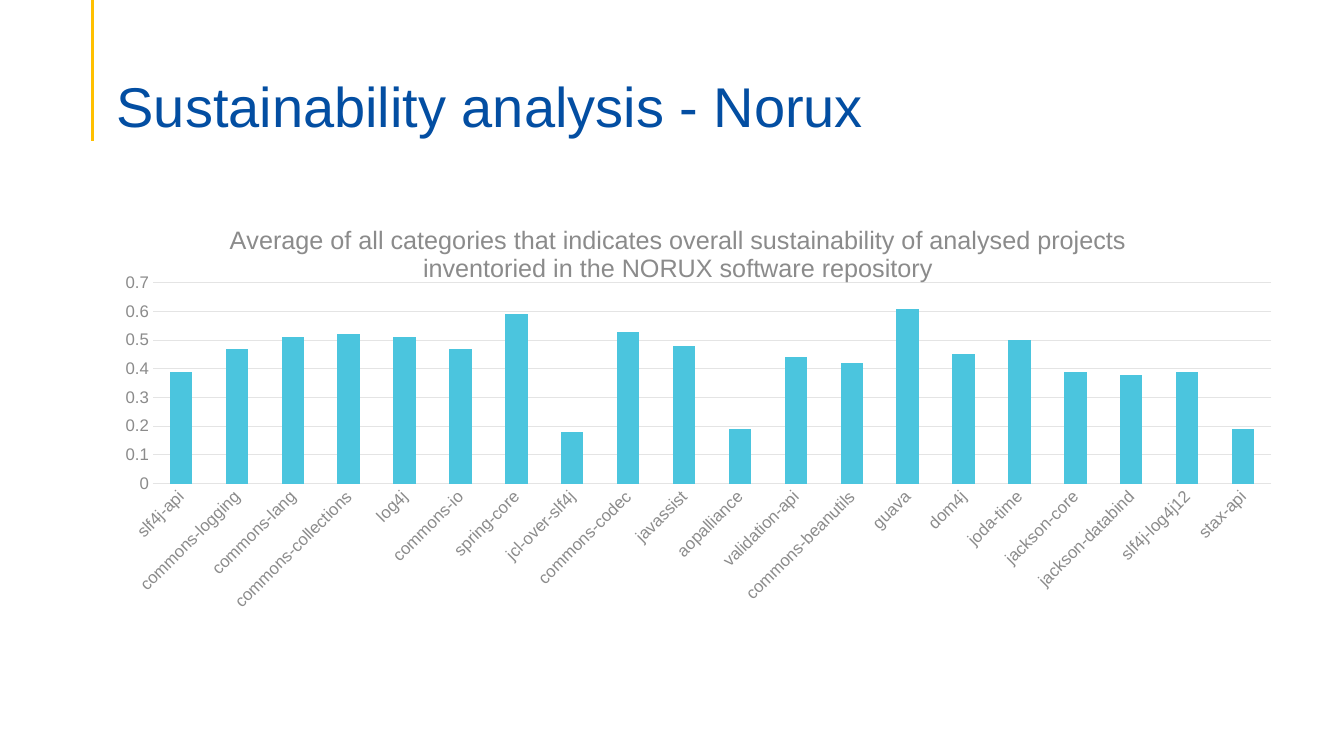
from dataclasses import dataclass
from typing import Any

import lxml.etree
import pptx
import pptx.chart.data
import pptx.dml.color
import pptx.enum.chart
import pptx.enum.shapes
import pptx.enum.text
import pptx.oxml.ns
import pptx.util

Cm = pptx.util.Cm
Pt = pptx.util.Pt
qn = pptx.oxml.ns.qn


@dataclass(frozen=True)
class Theme:
    font: str = "Arial"
    heading: str = "034EA2"
    accent: str = "FFC000"
    label: str = "8B8B8B"
    grid: str = "E4E4E4"
    bar: str = "4BC5DE"
    heading_size: float = 40
    chart_title_size: float = 18
    label_size: float = 12
    accent_width: float = 2.25
    grid_width: float = 0.75


@dataclass(frozen=True)
class Project:
    name: str
    score: float


@dataclass(frozen=True)
class Box:
    left: float
    top: float
    width: float
    height: float

    def lengths(self) -> list[pptx.util.Length]:
        return [Cm(value) for value in (self.left, self.top, self.width, self.height)]


THEME = Theme()
HEADING = "Sustainability analysis - Norux"
CHART_TITLE = (
    "Average of all categories that indicates overall sustainability "
    "of analysed projects inventoried in the NORUX software repository"
)
HEADING_BOX = Box(2.69, 1.35, 29.21, 2.18)
CHART_BOX = Box(2.34, 5.08, 30.3, 10.77)
TITLE_LAYOUT = {"xMode": "edge", "yMode": "edge", "x": 0.11, "y": 0.04}
PLOT_LAYOUT = {
    "layoutTarget": "inner", "xMode": "edge", "yMode": "edge",
    "x": 0.05, "y": 0.19, "w": 0.93, "h": 0.47,
}
PROJECTS = [
    Project("slf4j-api", 0.39),
    Project("commons-logging", 0.47),
    Project("commons-lang", 0.51),
    Project("commons-collections", 0.52),
    Project("log4j", 0.51),
    Project("commons-io", 0.47),
    Project("spring-core", 0.59),
    Project("jcl-over-slf4j", 0.18),
    Project("commons-codec", 0.53),
    Project("javassist", 0.48),
    Project("aopalliance", 0.19),
    Project("validation-api", 0.44),
    Project("commons-beanutils", 0.42),
    Project("guava", 0.61),
    Project("dom4j", 0.45),
    Project("joda-time", 0.5),
    Project("jackson-core", 0.39),
    Project("jackson-databind", 0.38),
    Project("slf4j-log4j12", 0.39),
    Project("stax-api", 0.19),
]


def apply_format(target: Any, values: dict[str, Any]) -> None:
    for name, value in values.items():
        setattr(target, name, value)


def rgb(color: str) -> pptx.dml.color.RGBColor:
    return pptx.dml.color.RGBColor.from_string(color)


def style_font(font: Any, size: float, color: str) -> None:
    apply_format(font, {"name": THEME.font, "size": Pt(size), "bold": False})
    font.color.rgb = rgb(color)


def style_line(line: Any, color: str, width: float) -> None:
    line.color.rgb = rgb(color)
    line.width = Pt(width)


def set_layout(parent: Any, position: int, values: dict[str, Any]) -> None:
    for old_layout in parent.findall(qn("c:layout")):
        parent.remove(old_layout)
    layout = lxml.etree.SubElement(parent, qn("c:layout"))
    parent.insert(position, layout)
    manual = lxml.etree.SubElement(layout, qn("c:manualLayout"))
    for name, value in values.items():
        lxml.etree.SubElement(manual, qn(f"c:{name}")).set("val", str(value))


def add_accent_line(slide: Any) -> None:
    connector = slide.shapes.add_connector(
        pptx.enum.shapes.MSO_CONNECTOR.STRAIGHT, Cm(2.34), Cm(0), Cm(2.34), Cm(3.56)
    )
    style_line(connector.line, THEME.accent, THEME.accent_width)
    lxml.etree.SubElement(connector._element.spPr, qn("a:effectLst"))


def add_heading(slide: Any) -> None:
    text_frame = slide.shapes.add_textbox(*HEADING_BOX.lengths()).text_frame
    apply_format(text_frame, {
        "word_wrap": True,
        "vertical_anchor": pptx.enum.text.MSO_ANCHOR.BOTTOM,
        "margin_bottom": Cm(0),
    })
    paragraph = text_frame.paragraphs[0]
    paragraph.line_spacing = 0.9
    run = paragraph.add_run()
    run.text = HEADING
    style_font(run.font, THEME.heading_size, THEME.heading)


def style_axis(axis: Any) -> None:
    no_tick = pptx.enum.chart.XL_TICK_MARK.NONE
    apply_format(axis, {"major_tick_mark": no_tick, "minor_tick_mark": no_tick})
    style_font(axis.tick_labels.font, THEME.label_size, THEME.label)


def add_chart_title(chart: Any) -> None:
    title = chart.chart_title
    run = title.text_frame.paragraphs[0].add_run()
    run.text = CHART_TITLE
    style_font(run.font, THEME.chart_title_size, THEME.label)
    set_layout(title._element, 1, TITLE_LAYOUT)


def add_score_chart(slide: Any) -> None:
    data = pptx.chart.data.CategoryChartData()
    data.categories = [project.name for project in PROJECTS]
    data.add_series("Series 1", [project.score for project in PROJECTS])
    chart = slide.shapes.add_chart(
        pptx.enum.chart.XL_CHART_TYPE.COLUMN_STACKED, *CHART_BOX.lengths(), data
    ).chart
    chart.has_legend = False
    add_chart_title(chart)

    plot = chart.plots[0]
    apply_format(plot, {"gap_width": 150, "overlap": 100, "vary_by_categories": False})
    fill = plot.series[0].format.fill
    fill.solid()
    fill.fore_color.rgb = rgb(THEME.bar)

    category_axis, value_axis = chart.category_axis, chart.value_axis
    for axis in (category_axis, value_axis):
        style_axis(axis)
    style_line(category_axis.format.line, THEME.grid, THEME.grid_width)
    category_axis._element.txPr.find(qn("a:bodyPr")).set("rot", "-2700000")

    apply_format(value_axis, {"minimum_scale": 0, "maximum_scale": 0.7, "major_unit": 0.1})
    value_axis.format.line.fill.background()
    style_line(value_axis.major_gridlines.format.line, THEME.grid, THEME.grid_width)

    plot_area = chart._chartSpace.find(qn("c:chart")).find(qn("c:plotArea"))
    set_layout(plot_area, 0, PLOT_LAYOUT)


def main() -> None:
    presentation = pptx.Presentation()
    apply_format(presentation, {"slide_width": Cm(33.87), "slide_height": Cm(19.05)})
    slide = presentation.slides.add_slide(presentation.slide_layouts[6])
    add_accent_line(slide)
    add_heading(slide)
    add_score_chart(slide)
    presentation.save("out.pptx")


if __name__ == "__main__":
    main()
